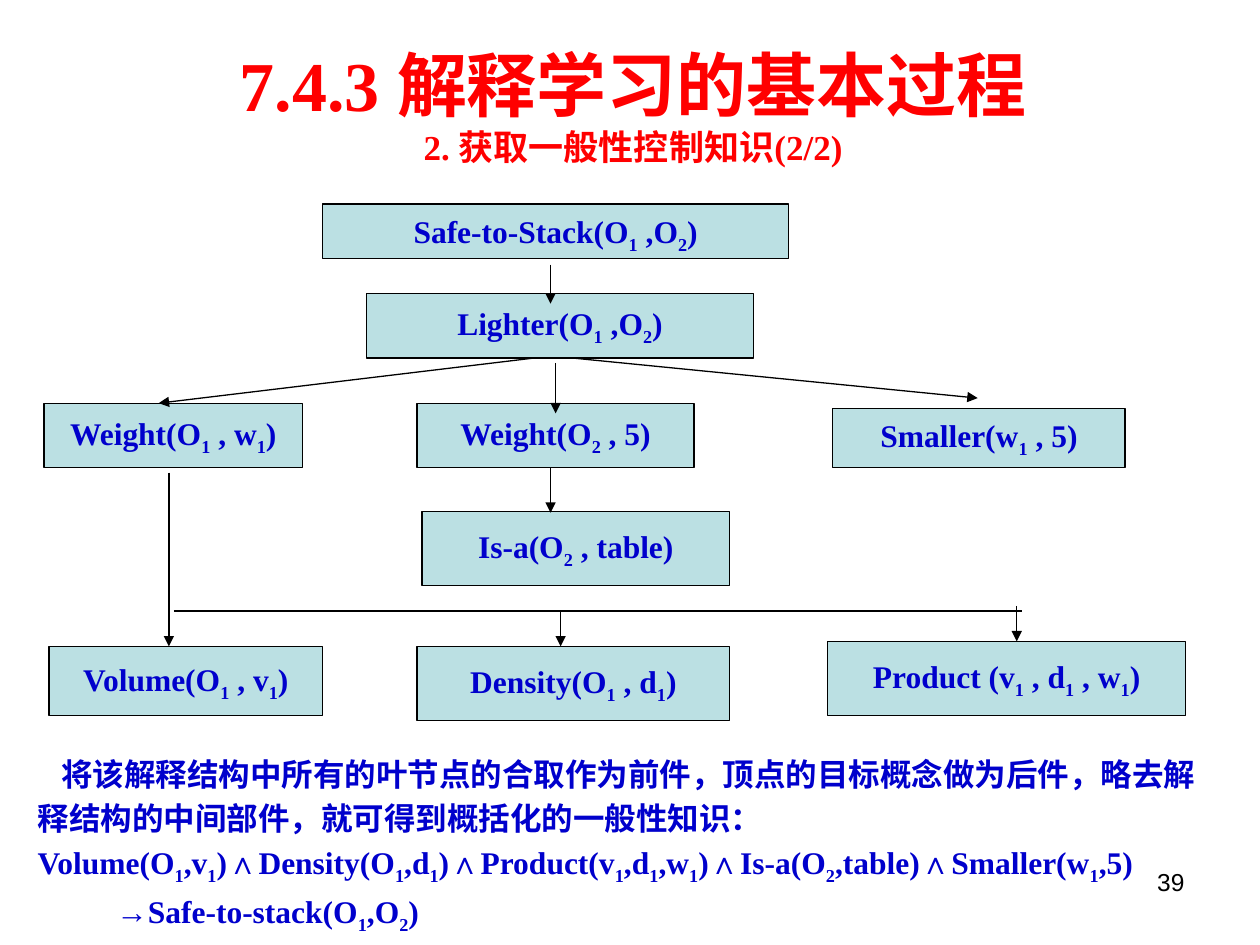
from lxml.etree import SubElement
from pptx import Presentation
from pptx.dml.color import RGBColor
from pptx.enum.shapes import MSO_CONNECTOR as CONN, MSO_SHAPE as SHAPE
from pptx.enum.text import MSO_ANCHOR as ANCHOR, MSO_AUTO_SIZE as AUTO, PP_ALIGN as ALIGN
from pptx.oxml.ns import qn
from pptx.util import Pt

COLORS = {"box": "BBE0E3", "line": "000000", "text": "0000CC", "title": "FF0000", "number": "000000"}
SERIF = "Times New Roman"

NODES = [
    ("Safe-to-Stack(O_1 ,O_2)", 159.3, 0, 266.4, 31),
    ("Lighter(O_1 ,O_2)", 184.5, 51.2, 221, 36.7),
    ("Weight(O_1 , w_1)", 0.2, 113.8, 147.6, 36.7),
    ("Weight(O_2 , 5)", 213.3, 113.8, 158.4, 36.7),
    ("Smaller(w_1 , 5)", 450.9, 116.7, 167, 33.8),
    ("Is-a(O_2 , table)", 216.2, 175.7, 175.7, 42.5),
    ("Volume(O_1 , v_1)", 3.1, 252.8, 156.2, 39.6),
    ("Density(O_1 , d_1)", 213.3, 252.8, 178.6, 42.5),
    ("Product (v_1 , d_1 , w_1)", 448, 249.9, 204.5, 42.5),
]
ARROWS = [
    (289.6, 34.6, 289.6, 56.9),
    (281, 87.9, 65.7, 113.8),
    (292.5, 90.8, 292.5, 119.6),
    (301.2, 87.9, 533.7, 110.9),
    (289.6, 150.5, 289.6, 176.4),
    (71.5, 153.4, 71.5, 252.8),
    (295.4, 232.6, 295.4, 252.8),
    (556, 229.7, 556, 249.9),
]
BRANCH = (74.4, 232.6, 558.9, 232.6)


def rgb(name):
    return RGBColor.from_string(COLORS[name])


def write(p, text, size=18, font=SERIF, color="text", bold=True, align=None, spacing=None, indent=0):
    p.alignment = align
    p.line_spacing = spacing
    if indent:
        p._p.get_or_add_pPr().set("indent", str(Pt(indent)))
    first, *rest = text.split("_")
    pieces = [(first, False)]
    for part in rest:
        pieces += [(part[0], True), (part[1:], False)]
    for piece, subscript in pieces:
        if not piece:
            continue
        r = p.add_run()
        r.text = piece
        r.font.size = Pt(size)
        r.font.name = font
        r.font.bold = bold
        r.font.color.rgb = rgb(color)
        if subscript:
            r.font._element.set("baseline", "-25000")


def text_box(s, x, y, w, h, auto=AUTO.NONE):
    tf = s.shapes.add_textbox(Pt(x), Pt(y), Pt(w), Pt(h)).text_frame
    tf.word_wrap = True
    tf.auto_size = auto
    return tf


def node(s, text, x, y, w, h, spacing=None):
    sp = s.shapes.add_shape(SHAPE.RECTANGLE, Pt(x), Pt(y), Pt(w), Pt(h))
    sp.shadow.inherit = False
    sp.fill.solid()
    sp.fill.fore_color.rgb = rgb("box")
    sp.line.color.rgb = rgb("line")
    sp.line.width = Pt(0.75)
    tf = sp.text_frame
    tf.word_wrap = False
    tf.vertical_anchor = ANCHOR.MIDDLE
    write(tf.paragraphs[0], text, align=ALIGN.CENTER, spacing=spacing)


def line(s, x1, y1, x2, y2, arrow=True):
    c = s.shapes.add_connector(CONN.STRAIGHT, Pt(x1), Pt(y1), Pt(x2), Pt(y2))
    c.line.color.rgb = rgb("line")
    c.line.width = Pt(0.75)
    if arrow:
        SubElement(c.line._get_or_add_ln(), qn("a:tailEnd"), type="triangle")
    SubElement(c._element.spPr, qn("a:effectLst"))


def title(s, x, y, w, h):
    tf = text_box(s, x, y, w, h, AUTO.SHAPE_TO_FIT_TEXT)
    write(tf.paragraphs[0], "7.4.3 解释学习的基本过程", size=40, color="title", align=ALIGN.CENTER)
    write(tf.add_paragraph(), "2. 获取一般性控制知识(2/2)", size=20, color="title", align=ALIGN.CENTER)


def proof_tree(s, x, y):
    for i, (text, left, top, w, h) in enumerate(NODES):
        node(s, text, x + left, y + top, w, h, spacing=None if i else 1.1)
    for x1, y1, x2, y2 in [*ARROWS, BRANCH]:
        line(s, x + x1, y + y1, x + x2, y + y2, arrow=(x1, y1, x2, y2) != BRANCH)


def conclusion(s, x, y, w, h):
    tf = text_box(s, x, y, w, h, AUTO.SHAPE_TO_FIT_TEXT)
    write(tf.paragraphs[0],
          "将该解释结构中所有的叶节点的合取作为前件，顶点的目标概念做为后件，"
          "略去解释结构的中间部件，就可得到概括化的一般性知识：", spacing=1.15, indent=13.5)
    write(tf.add_paragraph(),
          "Volume(O_1,v_1)∧Density(O_1,d_1)∧Product(v_1,d_1,w_1)∧Is-a(O_2,table)∧Smaller(w_1,5)",
          spacing=1.15)
    write(tf.add_paragraph(), "→Safe-to-stack(O_1,O_2)", spacing=1.15, indent=45)


def page_number(s, x, y, w, h):
    tf = text_box(s, x, y, w, h)
    write(tf.paragraphs[0], "39", size=14, font="Arial", color="number", bold=False, align=ALIGN.RIGHT)


def main():
    prs = Presentation()
    prs.slide_width, prs.slide_height = Pt(720), Pt(540)
    s = prs.slides.add_slide(prs.slide_layouts[6])
    proof_tree(s, 25, 116.6)
    conclusion(s, 14.4, 424.8, 680.4, 116.6)
    title(s, 62.6, 20.2, 598.3, 79.2)
    page_number(s, 516.2, 491.8, 167.8, 37.4)
    prs.save("out.pptx")


if __name__ == "__main__":
    main()
